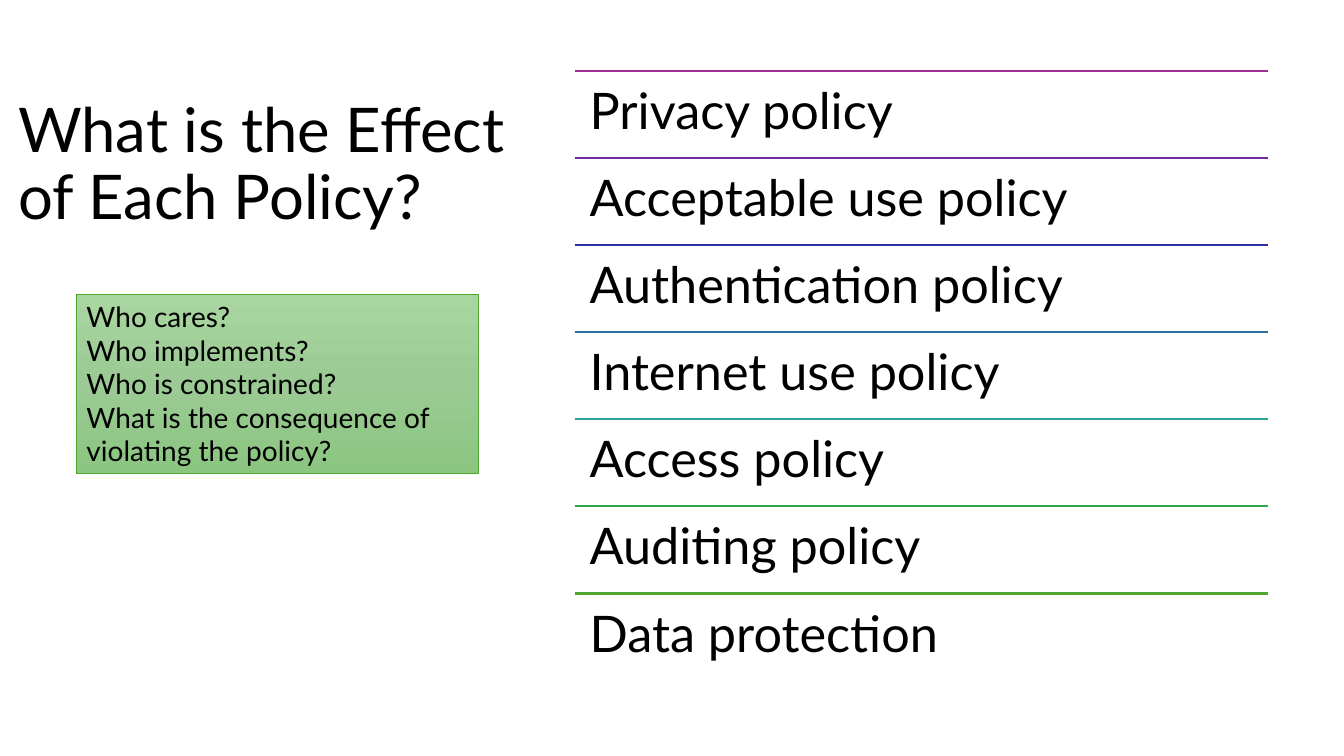
from copy import deepcopy
from dataclasses import dataclass

from lxml import etree
from pptx import Presentation, util as u
from pptx.dml.color import RGBColor
from pptx.enum import shapes, text
from pptx.oxml.ns import qn


@dataclass(frozen=True)
class Theme:
    font: str = "Lato"
    ink: str = "000000"
    title_size: int = 44
    policy_size: int = 36
    question_size: int = 20
    rule_width: float = 1.5
    panel_border: str = "4EA72E"
    panel_gradient: tuple = ((0, "A8D5A0"), (0.5, "9CCA94"), (1, "8AC680"))


THEME = Theme()

POLICIES = [
    ("Privacy policy", "A02B93"),
    ("Acceptable use policy", "6C2BA1"),
    ("Authentication policy", "2C2EA2"),
    ("Internet use policy", "2C71A4"),
    ("Access policy", "2DA594"),
    ("Auditing policy", "2DA651"),
    ("Data protection", "4EA72E"),
]
QUESTIONS = [
    "Who cares?",
    "Who implements?",
    "Who is constrained?",
    "What is the consequence of violating the policy?",
]


def write(frame, lines, size, spacing=1.0, anchor=text.MSO_ANCHOR.TOP, inset=None):
    frame.word_wrap = True
    frame.auto_size = text.MSO_AUTO_SIZE.NONE
    frame.vertical_anchor = anchor
    if inset is not None:
        frame.margin_left = frame.margin_right = u.Cm(inset)
        frame.margin_top = frame.margin_bottom = u.Cm(inset)
    for index, line in enumerate(lines):
        paragraph = frame.paragraphs[0] if index == 0 else frame.add_paragraph()
        paragraph.alignment = text.PP_ALIGN.LEFT
        paragraph.line_spacing = spacing
        run = paragraph.add_run()
        run.text = line
        run.font.name = THEME.font
        run.font.size = u.Pt(size)
        run.font.color.rgb = RGBColor.from_string(THEME.ink)


def place_title(slide, left, top, width, height):
    title = slide.shapes.title
    title.left, title.top = u.Cm(left), u.Cm(top)
    title.width, title.height = u.Cm(width), u.Cm(height)
    write(title.text_frame, ["What is the Effect of Each Policy?"], THEME.title_size,
          spacing=0.9, anchor=text.MSO_ANCHOR.MIDDLE)


def add_rule(slide, left, top, width, color):
    rule = slide.shapes.add_connector(
        shapes.MSO_CONNECTOR.STRAIGHT,
        u.Cm(left), u.Cm(top), u.Cm(left + width), u.Cm(top))
    rule.line.color.rgb = RGBColor.from_string(color)
    rule.line.width = u.Pt(THEME.rule_width)
    etree.SubElement(rule._element.spPr, qn("a:effectLst"))


def add_policy_list(slide, left, top, width, height):
    row_height = height / len(POLICIES)
    for row, (policy, color) in enumerate(POLICIES):
        row_top = top + row * row_height
        add_rule(slide, left, row_top, width, color)
        label = slide.shapes.add_textbox(
            u.Cm(left), u.Cm(row_top), u.Cm(width), u.Cm(row_height))
        write(label.text_frame, [policy], THEME.policy_size, spacing=0.9, inset=0.38)


def fill_with_gradient(panel):
    panel.fill.gradient()
    panel.fill.gradient_angle = 270
    stop_list = panel._element.spPr.find(qn("a:gradFill")).find(qn("a:gsLst"))
    stop_list.insert(1, deepcopy(stop_list[0]))
    for stop, (position, color) in zip(panel.fill.gradient_stops, THEME.panel_gradient):
        stop.position = position
        stop.color.rgb = RGBColor.from_string(color)


def add_question_panel(slide, left, top, width, height):
    panel = slide.shapes.add_shape(
        shapes.MSO_SHAPE.RECTANGLE, u.Cm(left), u.Cm(top), u.Cm(width), u.Cm(height))
    panel.shadow.inherit = False
    fill_with_gradient(panel)
    panel.line.color.rgb = RGBColor.from_string(THEME.panel_border)
    panel.line.width = u.Pt(1)
    write(panel.text_frame, QUESTIONS, THEME.question_size)
    panel.text_frame.auto_size = text.MSO_AUTO_SIZE.SHAPE_TO_FIT_TEXT


def main():
    deck = Presentation()
    deck.slide_width, deck.slide_height = u.Cm(33.87), u.Cm(19.05)
    slide = deck.slides.add_slide(deck.slide_layouts.get_by_name("Title Only"))
    place_title(slide, 0.2, 2.34, 13.13, 3.68)
    add_policy_list(slide, 14.48, 1.78, 17.48, 15.37)
    add_question_panel(slide, 1.93, 7.42, 10.13, 4.52)
    deck.save("out.pptx")


if __name__ == "__main__":
    main()
